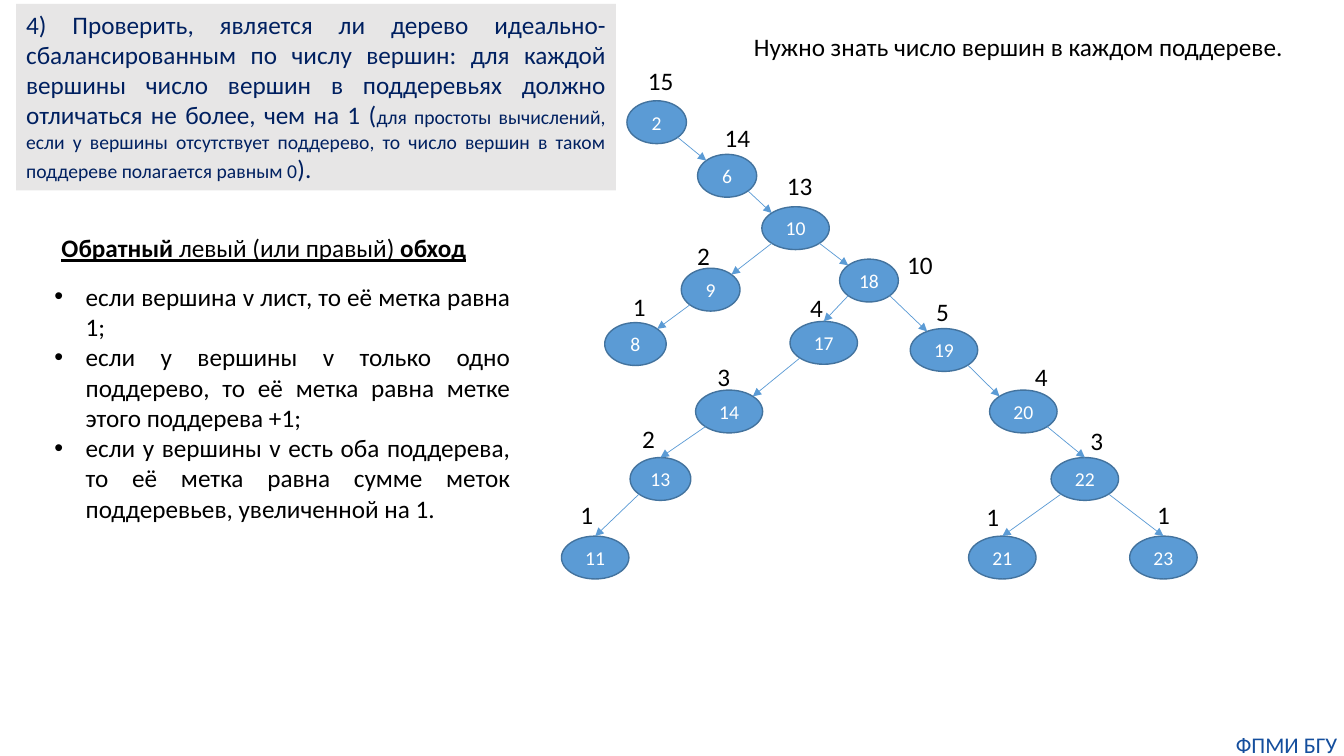
import math

from lxml import etree
from pptx import Presentation
from pptx.dml.color import RGBColor
from pptx.enum import shapes, text
from pptx.oxml.ns import qn
from pptx import util as u

COLORS = {
    "black": "000000",
    "white": "FFFFFF",
    "node": "5B9BD5",
    "node_line": "43739E",
    "task_fill": "E7E6E6",
    "task_text": "002060",
    "footer": "144E9D",
}
FONT = "Calibri"
NODE_HEIGHT = 1.08
LABEL_HEIGHT = 1.02

# Key: (left, top, width) of the vertex, (left, top) of its label, in cm
VERTICES = {
    2: ((15.8, 2.54, 1.5), (16.08, 1.52)),
    6: ((17.58, 3.89, 1.49), (18.01, 2.95)),
    10: ((19.2, 5.21, 1.7), (19.58, 4.17)),
    9: ((17.17, 6.76, 1.48), (17.32, 5.92)),
    8: ((15.24, 8.13, 1.55), (15.7, 7.21)),
    18: ((21.16, 6.53, 1.48), (22.61, 6.17)),
    17: ((19.91, 8.1, 1.7), (20.17, 7.24)),
    14: ((17.53, 9.83, 1.69), (17.83, 8.97)),
    13: ((15.88, 11.53, 1.53), (15.93, 10.54)),
    11: ((14.15, 13.51, 1.7), (14.38, 12.45)),
    19: ((22.94, 8.28, 1.7), (23.34, 7.34)),
    20: ((24.94, 9.83, 1.7), (25.83, 8.99)),
    22: ((26.49, 11.53, 1.7), (27.23, 10.59)),
    21: ((24.41, 13.51, 1.7), (24.61, 12.52)),
    23: ((28.47, 13.51, 1.7), (28.91, 12.45)),
}
# Angles on a vertex outline, in degrees clockwise from the right
LOWER_RIGHT, LOWER_LEFT, UPPER_LEFT, TOP, UPPER_RIGHT = 45, 135, 225, 270, 315
# Parent, child, angle where the arrow leaves, angle where it arrives
EDGES = [
    (2, 6, LOWER_RIGHT, UPPER_LEFT),
    (6, 10, LOWER_RIGHT, UPPER_LEFT),
    (10, 9, LOWER_LEFT, UPPER_RIGHT),
    (10, 18, LOWER_RIGHT, UPPER_LEFT),
    (9, 8, LOWER_LEFT, UPPER_RIGHT),
    (18, 17, LOWER_LEFT, TOP),
    (18, 19, LOWER_RIGHT, 240),
    (17, 14, LOWER_LEFT, UPPER_RIGHT),
    (14, 13, LOWER_LEFT, TOP),
    (13, 11, LOWER_LEFT, TOP),
    (19, 20, LOWER_RIGHT, UPPER_LEFT),
    (20, 22, LOWER_RIGHT, TOP),
    (22, 21, LOWER_LEFT, TOP),
    (22, 23, LOWER_RIGHT, TOP),
]
RULES = [
    "если вершина v лист, то её метка равна 1;",
    "если у вершины v только одно поддерево, то её метка равна метке этого поддерева +1;",
    "если у вершины v есть оба поддерева, то её метка равна сумме меток поддеревьев, "
    "увеличенной на 1.",
]
TASK = [
    ("4) Проверить, является ли дерево идеально-сбалансированным по числу вершин: "
     "для каждой вершины число вершин в поддеревьях должно отличаться не более, "
     "чем на 1 (", 18),
    ("для простоты вычислений, если у вершины отсутствует поддерево, "
     "то число вершин в таком поддереве полагается равным 0", 14),
    (").", 18),
]


def rgb(name):
    return RGBColor.from_string(COLORS[name])


def set_font(paragraph, color="black", size=18):
    paragraph.font.name = FONT
    paragraph.font.size = u.Pt(size)
    paragraph.font.color.rgb = rgb(color)


def add_text(slide, box, content="", wrap=True, color="black", size=18):
    frame = slide.shapes.add_textbox(*map(u.Cm, box)).text_frame
    frame.word_wrap = wrap
    frame.auto_size = text.MSO_AUTO_SIZE.SHAPE_TO_FIT_TEXT
    frame.text = content
    set_font(frame.paragraphs[0], color, size)
    return frame


def add_filled(slide, kind, box, fill):
    shape = slide.shapes.add_shape(kind, *map(u.Cm, box))
    shape.shadow.inherit = False
    shape.fill.solid()
    shape.fill.fore_color.rgb = rgb(fill)
    return shape


def add_vertex(slide, key):
    left, top, width = VERTICES[key][0]
    vertex = add_filled(slide, shapes.MSO_SHAPE.OVAL, (left, top, width, NODE_HEIGHT), "node")
    vertex.line.color.rgb = rgb("node_line")
    vertex.line.width = u.Pt(1)
    frame = vertex.text_frame
    frame.word_wrap = False
    frame.vertical_anchor = text.MSO_ANCHOR.MIDDLE
    frame.text = str(key)
    frame.paragraphs[0].alignment = text.PP_ALIGN.CENTER
    set_font(frame.paragraphs[0], "white", 14)


def subtree_size(key):
    return 1 + sum(subtree_size(child) for parent, child, *_ in EDGES if parent == key)


def add_size_label(slide, key):
    count = str(subtree_size(key))
    width = 0.84 if len(count) == 1 else 1.17
    add_text(slide, (*VERTICES[key][1], width, LABEL_HEIGHT), count, wrap=False)


def outline_point(key, angle):
    left, top, width = VERTICES[key][0]
    turn = math.radians(angle)
    return (u.Cm(left + width / 2 * (1 + math.cos(turn))),
            u.Cm(top + NODE_HEIGHT / 2 * (1 + math.sin(turn))))


def add_edge(slide, parent, child, leave, arrive):
    edge = slide.shapes.add_connector(
        shapes.MSO_CONNECTOR.STRAIGHT,
        *outline_point(parent, leave), *outline_point(child, arrive))
    edge.line.color.rgb = rgb("node")
    edge.line.width = u.Pt(0.5)
    etree.SubElement(edge.line._get_or_add_ln(), qn("a:tailEnd"), type="triangle")
    etree.SubElement(edge._element.spPr, qn("a:effectLst"))


def add_task(slide):
    task = add_filled(slide, shapes.MSO_SHAPE.RECTANGLE, (0.41, 0.1, 15.11, 4.7), "task_fill")
    task.line.fill.background()
    frame = task.text_frame
    frame.word_wrap = True
    frame.vertical_anchor = text.MSO_ANCHOR.TOP
    wording = frame.paragraphs[0]
    wording.alignment = text.PP_ALIGN.JUSTIFY
    set_font(wording, "task_text")
    for part, size in TASK:
        run = wording.add_run()
        run.text = part
        run.font.size = u.Pt(size)


def add_rules(slide):
    frame = add_text(slide, (1.12, 6.96, 11.99, 6.4), "\n".join(RULES))
    for rule in frame.paragraphs:
        rule.alignment = text.PP_ALIGN.JUSTIFY
        props = rule._p.get_or_add_pPr()
        props.set("marL", str(u.Cm(0.79)))
        props.set("indent", str(-u.Cm(0.79)))
        # Bullet elements come before the paragraph's font properties
        props.insert(0, etree.Element(qn("a:buFont"), typeface="Arial"))
        props.insert(1, etree.Element(qn("a:buChar"), char="•"))
        set_font(rule)


def add_traversal_heading(slide):
    heading = add_text(slide, (1.3, 5.74, 13.31, LABEL_HEIGHT)).paragraphs[0]
    heading.font.underline = True
    for part, bold in [("Обратный ", True), ("левый (или правый) ", False), ("обход", True)]:
        run = heading.add_run()
        run.text = part
        run.font.bold = bold


def add_footer(slide):
    frame = add_text(slide, (30.99, 18.42, 2.87, 0.69), "ФПМИ БГУ", color="footer", size=16)
    frame.margin_left = frame.margin_right = frame.margin_top = frame.margin_bottom = 0
    frame.paragraphs[0].alignment = text.PP_ALIGN.CENTER


def main():
    deck = Presentation()
    deck.slide_width, deck.slide_height = u.Cm(33.87), u.Cm(19.05)
    slide = deck.slides.add_slide(deck.slide_layouts[6])

    # Task and traversal rules
    add_task(slide)
    add_traversal_heading(slide)
    add_rules(slide)

    # Tree with subtree sizes
    add_text(slide, (18.75, 0.66, 14.15, LABEL_HEIGHT),
             "Нужно знать число вершин в каждом поддереве.", wrap=False)
    for key in VERTICES:
        add_vertex(slide, key)
        add_size_label(slide, key)
    for edge in EDGES:
        add_edge(slide, *edge)

    add_footer(slide)
    deck.save("out.pptx")


if __name__ == "__main__":
    main()
